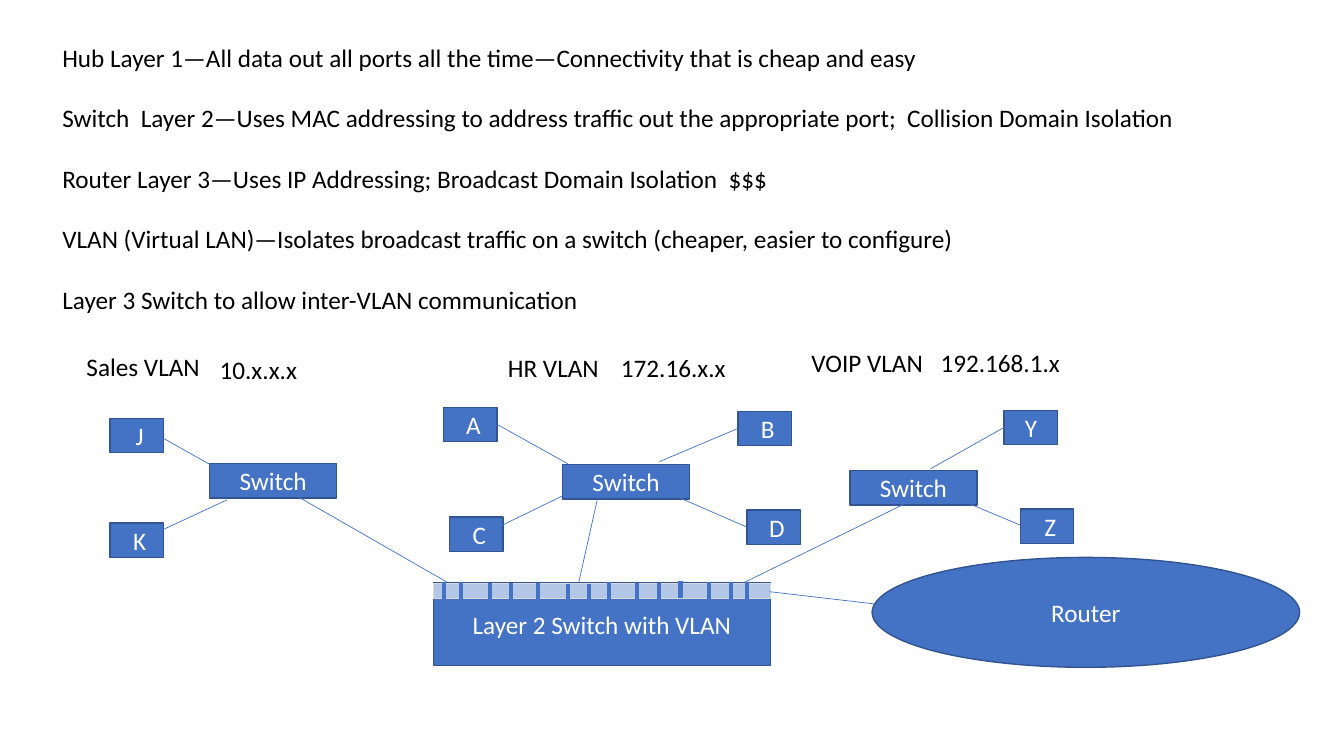
from dataclasses import dataclass

from lxml import etree
from pptx import Presentation
from pptx import util as u
from pptx.dml.color import RGBColor
from pptx.enum import shapes, text
from pptx.oxml import ns
from pptx.slide import Slide


@dataclass(frozen=True)
class Theme:
    font: str = "Calibri"
    size: int = 18
    ink: str = "000000"
    label: str = "FFFFFF"
    device: str = "4472C4"
    outline: str = "325491"
    port_strip: str = "B4C7E7"
    strip_outline: str = "D9D9D9"
    outline_width: float = 1
    link_width: float = 0.5
    port_width: float = 3


@dataclass(frozen=True)
class Device:
    label: str
    left: float
    top: float
    width: float
    height: float = 0.34
    shift: float = 0  # extra left inset that moves the label right
    kind: shapes.MSO_SHAPE = shapes.MSO_SHAPE.RECTANGLE
    fill: str = Theme.device
    outline: str = Theme.outline


@dataclass(frozen=True)
class Note:
    lines: tuple[str, ...]
    left: float
    top: float
    width: float
    height: float = 0.4


@dataclass(frozen=True)
class Link:
    x1: float
    y1: float
    x2: float
    y2: float
    width: float = Theme.link_width


THEME = Theme()
HOST_WIDTH, SWITCH_WIDTH, LABEL_SHIFT, PORT_HEIGHT = 0.53, 1.26, 0.06, 0.17
PARAGRAPH_GAP = 21.6

NOTES = [
    Note((
        "Hub Layer 1—All data out all ports all the time—Connectivity that is cheap and easy",
        "Switch  Layer 2—Uses MAC addressing to address traffic out the appropriate port;  "
        "Collision Domain Isolation",
        "Router Layer 3—Uses IP Addressing; Broadcast Domain Isolation  $$$",
        "VLAN (Virtual LAN)—Isolates broadcast traffic on a switch (cheaper, easier to configure)",
        "Layer 3 Switch to allow inter-VLAN communication",
    ), 0.52, 0.37, 11.37, 2.83),
    Note(("Sales VLAN",), 0.76, 3.44, 2.17),
    Note(("HR VLAN",), 4.94, 3.45, 2.17),
    Note(("VOIP VLAN",), 7.95, 3.4, 2.17),
    Note(("10.x.x.x",), 2.08, 3.47, 1.35),
    Note(("172.16.x.x",), 6.06, 3.45, 1.35),
    Note(("192.168.1.x",), 9.23, 3.4, 1.62),
]

HOSTS = [
    Device(name, left, top, HOST_WIDTH, shift=0 if name == "Y" else LABEL_SHIFT)
    for name, left, top in [
        ("A", 4.4, 4.04), ("B", 7.32, 4.08), ("C", 4.46, 5.13), ("D", 7.41, 5.06),
        ("J", 1.09, 4.15), ("K", 1.09, 5.19), ("Y", 9.96, 4.07), ("Z", 10.12, 5.05),
    ]
]
VLAN_SWITCHES = [
    Device("Switch", left, top, SWITCH_WIDTH)
    for left, top in [(2.08, 4.6), (5.58, 4.61), (8.43, 4.67)]
]
CORE_SWITCH = Device("Layer 2 Switch with VLAN", 4.3, 5.78, 3.34, 0.82)
PORT_STRIP = Device("", 4.3, 5.79, 3.34, 0.15,
                    fill=THEME.port_strip, outline=THEME.strip_outline)
ROUTER = Device("Router", 8.65, 5.53, 4.24, 1.09, kind=shapes.MSO_SHAPE.OVAL)

HOST_LINKS = [
    Link(4.93, 4.21, 5.63, 4.6), Link(6.54, 4.58, 7.32, 4.25),
    Link(4.92, 5.24, 5.62, 4.9), Link(6.72, 4.93, 7.41, 5.23),
    Link(1.57, 4.32, 2.28, 4.72), Link(1.54, 5.29, 2.25, 4.96),
    Link(9.23, 4.65, 9.96, 4.24), Link(9.43, 4.92, 10.12, 5.21),
]
UPLINKS = [
    Link(2.96, 4.93, 4.86, 6.02), Link(5.74, 5.78, 5.93, 4.93),
    Link(6.4, 6.26, 8.99, 4.99),
]
ROUTER_LINK = Link(7.63, 5.87, 9.09, 6.04)
PORTS = [
    Link(x, top, x, top + PORT_HEIGHT, THEME.port_width)
    for x, top in [
        (4.4, 5.77), (4.57, 5.77), (4.86, 5.78), (5.07, 5.78), (5.34, 5.78),
        (5.63, 5.79), (5.84, 5.79), (6.04, 5.77), (6.32, 5.78), (6.54, 5.78),
        (6.75, 5.76), (7.03, 5.77), (7.25, 5.77), (7.41, 5.77),
    ]
]


def style_font(paragraph, color: str) -> None:
    for run in paragraph.runs:
        run.font.name = THEME.font
        run.font.size = u.Pt(THEME.size)
        run.font.color.rgb = RGBColor.from_string(color)


def draw_note(slide: Slide, note: Note) -> None:
    box = slide.shapes.add_textbox(u.Inches(note.left), u.Inches(note.top),
                                   u.Inches(note.width), u.Inches(note.height))
    frame = box.text_frame
    frame.word_wrap = True
    frame.auto_size = text.MSO_AUTO_SIZE.SHAPE_TO_FIT_TEXT
    frame.text = "\n".join(note.lines)
    for index, paragraph in enumerate(frame.paragraphs):
        if index:
            paragraph.space_before = u.Pt(PARAGRAPH_GAP)
        style_font(paragraph, THEME.ink)


def draw_device(slide: Slide, device: Device) -> None:
    body = slide.shapes.add_shape(device.kind, u.Inches(device.left), u.Inches(device.top),
                                  u.Inches(device.width), u.Inches(device.height))
    body.shadow.inherit = False
    body.fill.solid()
    body.fill.fore_color.rgb = RGBColor.from_string(device.fill)
    body.line.color.rgb = RGBColor.from_string(device.outline)
    body.line.width = u.Pt(THEME.outline_width)
    if not device.label:
        return
    frame = body.text_frame
    frame.word_wrap = True
    frame.vertical_anchor = text.MSO_ANCHOR.MIDDLE
    frame.margin_left = u.Inches(0.1 + device.shift)
    frame.text = device.label
    frame.paragraphs[0].alignment = text.PP_ALIGN.CENTER
    style_font(frame.paragraphs[0], THEME.label)


def draw_link(slide: Slide, link: Link) -> None:
    cable = slide.shapes.add_connector(shapes.MSO_CONNECTOR.STRAIGHT,
                                       u.Inches(link.x1), u.Inches(link.y1),
                                       u.Inches(link.x2), u.Inches(link.y2))
    cable.line.color.rgb = RGBColor.from_string(THEME.device)
    cable.line.width = u.Pt(link.width)
    etree.SubElement(cable._element.spPr, ns.qn("a:effectLst"))


def main() -> None:
    deck = Presentation()
    deck.slide_width, deck.slide_height = u.Inches(13.33), u.Inches(7.5)
    slide = deck.slides.add_slide(deck.slide_layouts[6])
    for note in NOTES:
        draw_note(slide, note)
    for device in HOSTS + VLAN_SWITCHES:
        draw_device(slide, device)
    for link in HOST_LINKS + UPLINKS:
        draw_link(slide, link)
    for device in (CORE_SWITCH, PORT_STRIP, ROUTER):
        draw_device(slide, device)
    for link in PORTS + [ROUTER_LINK]:
        draw_link(slide, link)
    deck.save("out.pptx")


if __name__ == "__main__":
    main()
